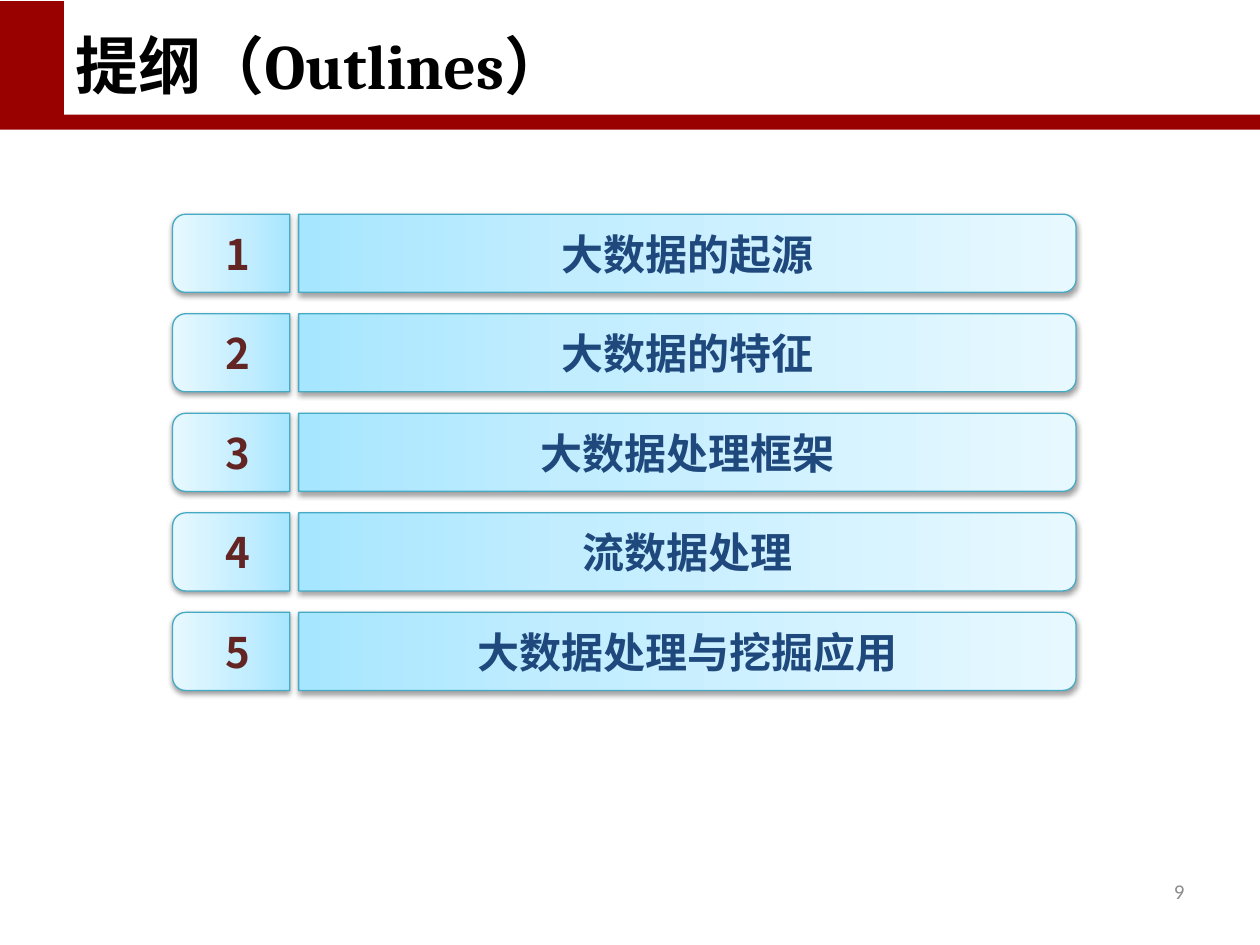
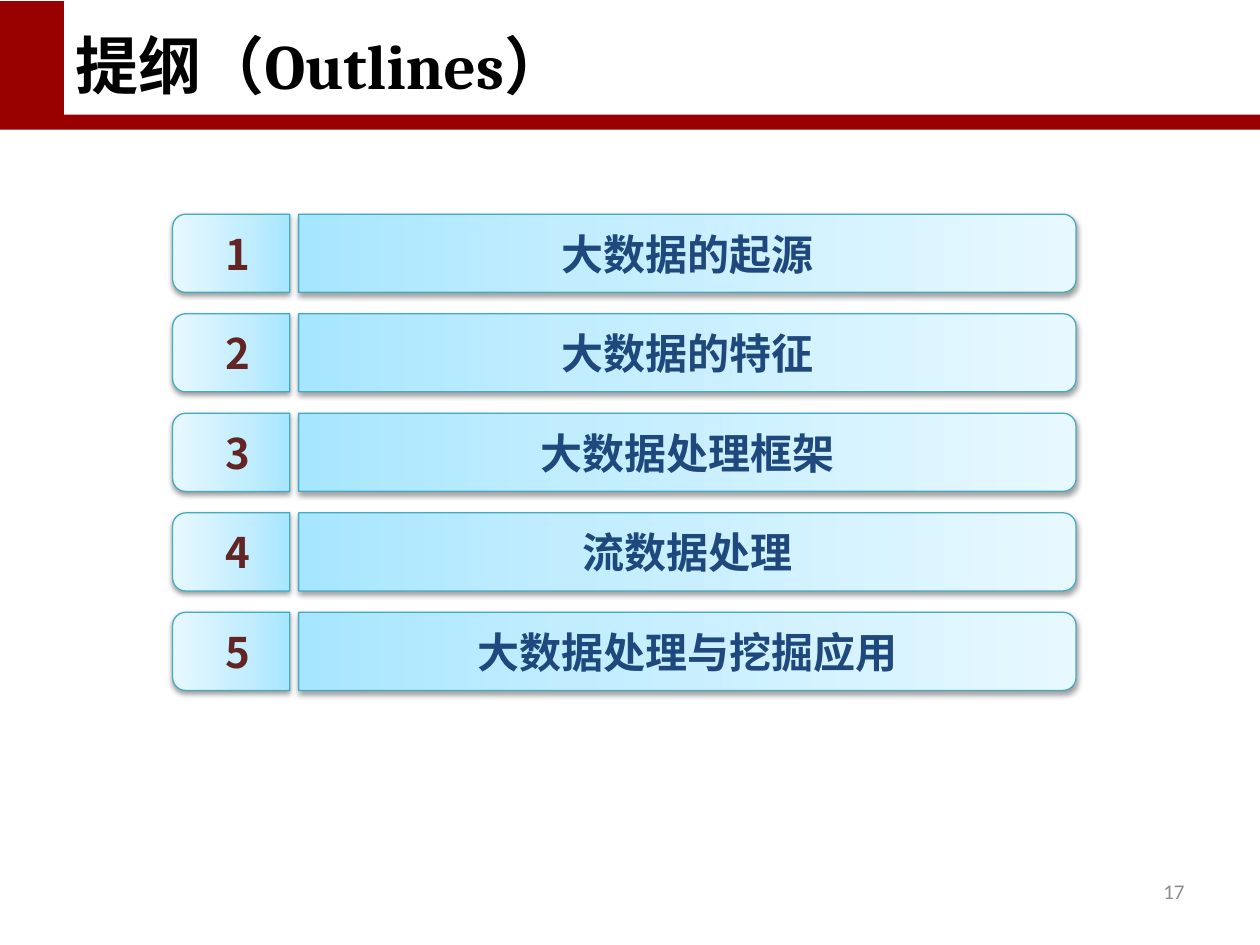
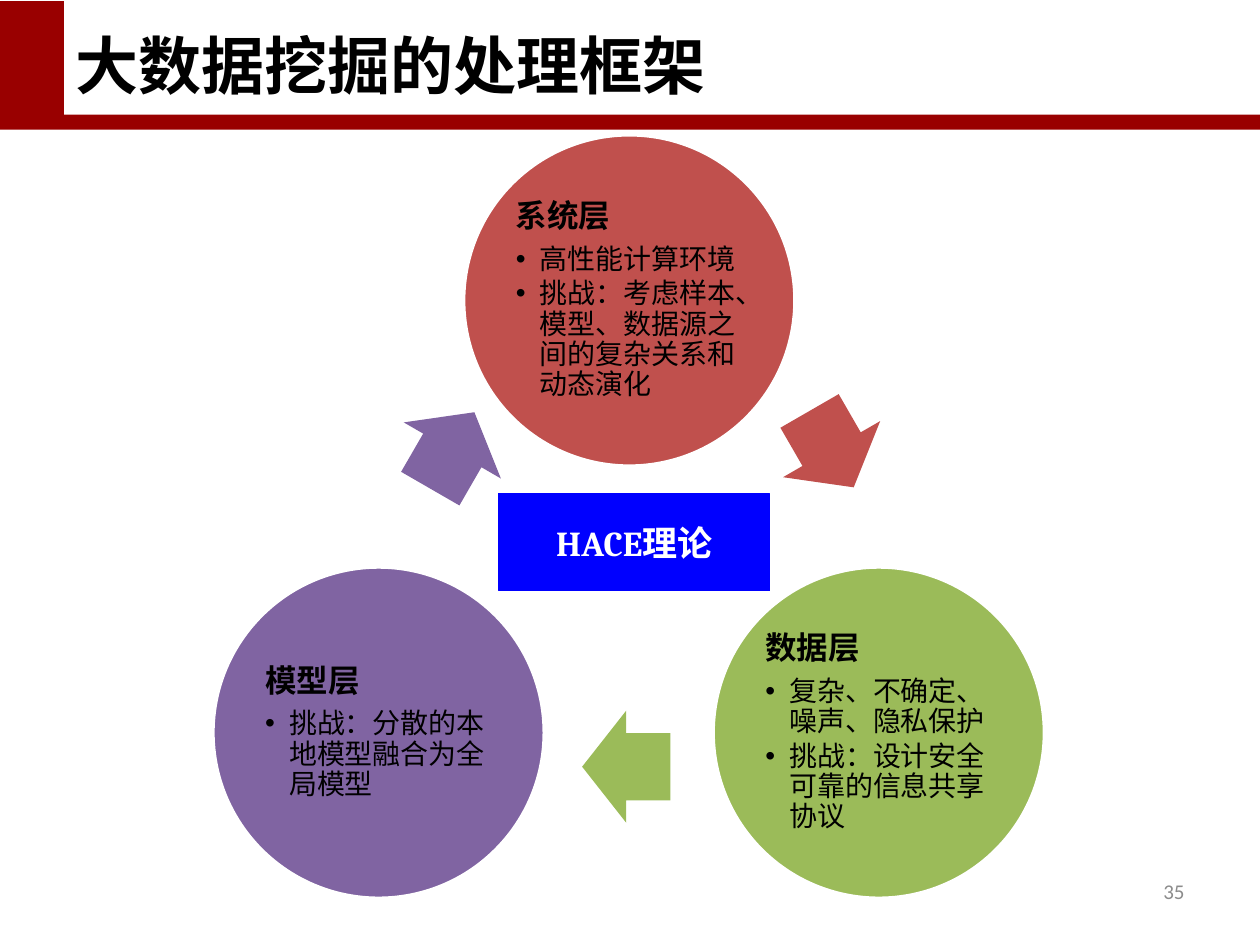
from dataclasses import dataclass

from lxml import etree
from pptx import Presentation
from pptx.dml.color import RGBColor
from pptx.enum.shapes import MSO_SHAPE
from pptx.enum.text import MSO_ANCHOR, MSO_AUTO_SIZE, PP_ALIGN
from pptx.oxml import parse_xml
from pptx.oxml.ns import nsdecls, qn
from pptx.util import Inches, Pt

RECTANGLE, OVAL = MSO_SHAPE.RECTANGLE, MSO_SHAPE.OVAL
RIGHT_ARROW, TAB_BAR = MSO_SHAPE.RIGHT_ARROW, MSO_SHAPE.ROUND_2_SAME_RECTANGLE
MIDDLE, BOTTOM = MSO_ANCHOR.MIDDLE, MSO_ANCHOR.BOTTOM
LEFT, CENTER, RIGHT = PP_ALIGN.LEFT, PP_ALIGN.CENTER, PP_ALIGN.RIGHT
FIT_SHAPE, NO_FIT = MSO_AUTO_SIZE.SHAPE_TO_FIT_TEXT, MSO_AUTO_SIZE.NONE
TITLE_ONLY = 5


@dataclass(frozen=True)
class Theme:
    band: str = "990000"
    white: str = "FFFFFF"
    black: str = "000000"
    page_number: str = "8C8C8C"
    topic: str = "1F497D"
    topic_number: str = "632523"
    bar_line: str = "46AAC5"
    bar_stops: tuple = ((0, "A7E6FF"), (35, "C1EDFF"), (100, "E7F8FF"))
    system: str = "C0504D"
    data: str = "9BBB59"
    model: str = "8064A2"
    theory: str = "0000FF"
    cjk: str = "Noto Sans CJK SC"
    serif: str = "Cambria"
    sans: str = "Calibri"
    title_size: int = 36
    topic_size: int = 24
    theory_size: int = 20
    layer_size: int = 18
    bullet_size: int = 16
    page_size: int = 12


THEME = Theme()


@dataclass(frozen=True)
class Box:
    left: float
    top: float
    width: float
    height: float

    def inner(self, dx, dy, width, height):
        """Box placed relative to this one."""
        return Box(self.left + dx, self.top + dy, width, height)

    def lengths(self):
        return [Inches(n) for n in (self.left, self.top, self.width, self.height)]


TITLE_BOX = Box(0.5, 0.14, 9, 0.72)
PAGE_BOX = Box(7.17, 6.87, 2.33, 0.4)
OUTLINE_BOX = Box(1.37, 1.7, 7.17, 3.78)
CYCLE_BOX = Box(1.69, 1.07, 6.6, 6.06)

OUTLINE_TITLE = [("提纲", THEME.cjk), ("（Outlines）", THEME.serif)]
TOPICS = ["大数据的起源", "大数据的特征", "大数据处理框架", "流数据处理", "大数据处理与挖掘应用"]

# Layer name, colour, bullets, circle offset, offset of the arrow that follows
LAYERS = [
    ("系统层", THEME.system,
     ["高性能计算环境", "挑战：考虑样本、模型、数据源之间的复杂关系和动态演化"],
     (1.99, 0), (4.56, 2.05)),
    ("数据层", THEME.data,
     ["复杂、不确定、噪声、隐私保护", "挑战：设计安全可靠的信息共享协议"],
     (3.97, 3.43), (2.93, 4.57)),
    ("模型层", THEME.model,
     ["挑战：分散的本地模型融合为全局模型"],
     (0, 3.43), (1.55, 2.06)),
]


# Text helpers
def set_typeface(font, properties, name):
    font.name = name
    etree.SubElement(properties, qn("a:ea")).set("typeface", THEME.cjk)


def write(paragraph, runs, size, color, bold=False, align=LEFT):
    """Fill a paragraph with (text, font name) runs of one size and colour."""
    paragraph.alignment = align
    font = paragraph.font
    font.size, font.bold = Pt(size), bold
    font.color.rgb = RGBColor.from_string(color)
    for text, name in runs:
        run = paragraph.add_run()
        run.text = text
        if len(runs) > 1:
            set_typeface(run.font, run._r.get_or_add_rPr(), name)
    if len(runs) == 1:
        set_typeface(font, paragraph._p.get_or_add_pPr().get_or_add_defRPr(), runs[0][1])


def set_frame(frame, anchor=MIDDLE, inset=None, wrap=True):
    frame.word_wrap = wrap
    frame.vertical_anchor = anchor
    if inset is not None:
        frame.margin_left = frame.margin_right = Inches(inset)
        frame.margin_top = frame.margin_bottom = Inches(inset)


def add_label(slide, box, text, font, size, color, bold=True, align=CENTER, wrap=True):
    label = slide.shapes.add_textbox(*box.lengths())
    set_frame(label.text_frame, wrap=wrap)
    label.text_frame.auto_size = NO_FIT if wrap else FIT_SHAPE
    write(label.text_frame.paragraphs[0], [(text, font)], size, color, bold, align)


def add_bullet(paragraph):
    properties = paragraph._p.get_or_add_pPr()
    properties.set("marL", str(Inches(0.19)))
    properties.set("indent", str(-Inches(0.19)))
    etree.SubElement(properties, qn("a:buFont")).set("typeface", "Arial")
    etree.SubElement(properties, qn("a:buChar")).set("char", "•")


# Shape helper
def add_solid(slide, kind, box, color, line=None, line_width=0):
    shape = slide.shapes.add_shape(kind, *box.lengths())
    shape.shadow.inherit = False
    shape.fill.solid()
    shape.fill.fore_color.rgb = RGBColor.from_string(color)
    if line:
        shape.line.color.rgb = RGBColor.from_string(line)
        shape.line.width = Pt(line_width)
    else:
        shape.line.fill.background()
    return shape


# Shared slide parts
def add_bands(slide):
    """Draw the header bands and move them to the layout, behind its placeholders."""
    bands = [add_solid(slide, RECTANGLE, Box(0, 0.01, 10, 1.02), THEME.band),
             add_solid(slide, RECTANGLE, Box(0.51, 0, 9.49, 0.91), THEME.white)]
    layout_tree = slide.slide_layout.shapes.element
    for position, band in enumerate(bands, start=2):
        layout_tree.insert(position, band.element)


def add_titled_slide(prs, title_runs, page):
    slide = prs.slides.add_slide(prs.slide_layouts[TITLE_ONLY])
    title = slide.shapes.title
    title.left, title.top, title.width, title.height = TITLE_BOX.lengths()
    set_frame(title.text_frame, BOTTOM)
    title.text_frame.auto_size = NO_FIT
    write(title.text_frame.paragraphs[0], title_runs, THEME.title_size, THEME.black, True)
    add_label(slide, PAGE_BOX, str(page), THEME.sans, THEME.page_size,
              THEME.page_number, bold=False, align=RIGHT)
    return slide


# Outline slides
def add_bar(slide, box, round_right=False):
    """Gradient bar with two rounded corners, turned to lie on its side."""
    upright = box.inner((box.width - box.height) / 2, (box.height - box.width) / 2,
                        box.height, box.width)
    bar = add_solid(slide, TAB_BAR, upright, THEME.white, THEME.bar_line, 0.75)
    bar.rotation = 270
    properties = bar.element.spPr
    if round_right:
        properties.find(qn("a:xfrm")).set("flipV", "1")
    stops = "".join(f'<a:gs pos="{at * 1000}"><a:srgbClr val="{color}"/></a:gs>'
                    for at, color in THEME.bar_stops)
    gradient = parse_xml(f'<a:gradFill {nsdecls("a")} rotWithShape="1"><a:gsLst>{stops}</a:gsLst>'
                         '<a:lin ang="16200000" scaled="1"/></a:gradFill>')
    properties.replace(properties.find(qn("a:solidFill")), gradient)
    shadow = parse_xml(f'<a:outerShdw {nsdecls("a")} blurRad="40000" dist="20000" '
                       'dir="5400000" rotWithShape="0"><a:srgbClr val="000000">'
                       '<a:alpha val="38000"/></a:srgbClr></a:outerShdw>')
    properties.find(qn("a:effectLst")).append(shadow)


def add_outline(slide, box):
    row_height, number_width, label_left = 0.62, 0.93, 1.0
    pitch = (box.height - row_height) / (len(TOPICS) - 1)
    for index, topic in enumerate(TOPICS):
        number_box = box.inner(0, index * pitch, number_width, row_height)
        topic_box = box.inner(label_left, index * pitch, box.width - label_left, row_height)
        add_bar(slide, number_box)
        add_bar(slide, topic_box, round_right=True)
        add_label(slide, topic_box, topic, THEME.cjk, THEME.topic_size, THEME.topic)
        add_label(slide, number_box.inner(0.32, 0.06, 0.37, 0.5), str(index + 1),
                  THEME.cjk, THEME.topic_size, THEME.topic_number, wrap=False)


# Framework slide
def add_layer(slide, box, name, color, bullets):
    circle = add_solid(slide, OVAL, box, color, THEME.white, 2)
    frame = circle.text_frame
    set_frame(frame, inset=0.03)
    heading = frame.paragraphs[0]
    heading.line_spacing, heading.space_after = 0.9, Pt(6.3)
    write(heading, [(name, THEME.cjk)], THEME.layer_size, THEME.black, True)
    for bullet in bullets:
        item = frame.add_paragraph()
        item.line_spacing, item.space_after = 0.9, Pt(2.4)
        add_bullet(item)
        write(item, [(bullet, THEME.sans)], THEME.bullet_size, THEME.black)


def add_cycle(slide, box):
    for index, (name, color, bullets, circle_at, arrow_at) in enumerate(LAYERS):
        add_layer(slide, box.inner(*circle_at, 2.63, 2.63), name, color, bullets)
        arrow = add_solid(slide, RIGHT_ARROW, box.inner(*arrow_at, 0.7, 0.89), color)
        arrow.adjustments[0], arrow.adjustments[1] = 0.6, 0.5
        arrow.rotation = 60 + 120 * index
    theory = add_solid(slide, RECTANGLE, box.inner(2.27, 2.85, 2.15, 0.77),
                       THEME.theory, THEME.theory, 0.5)
    set_frame(theory.text_frame, inset=0, wrap=False)
    write(theory.text_frame.paragraphs[0], [("HACE", THEME.serif), ("理论", THEME.sans)],
          THEME.theory_size, THEME.white, True, CENTER)


def main():
    prs = Presentation()
    prs.slide_width, prs.slide_height = Inches(10), Inches(7.5)
    for page in (9, 17):
        add_outline(add_titled_slide(prs, OUTLINE_TITLE, page), OUTLINE_BOX)
    framework = add_titled_slide(prs, [("大数据挖掘的处理框架", THEME.cjk)], 35)
    add_cycle(framework, CYCLE_BOX)
    add_bands(framework)
    prs.save("out.pptx")


if __name__ == "__main__":
    main()
